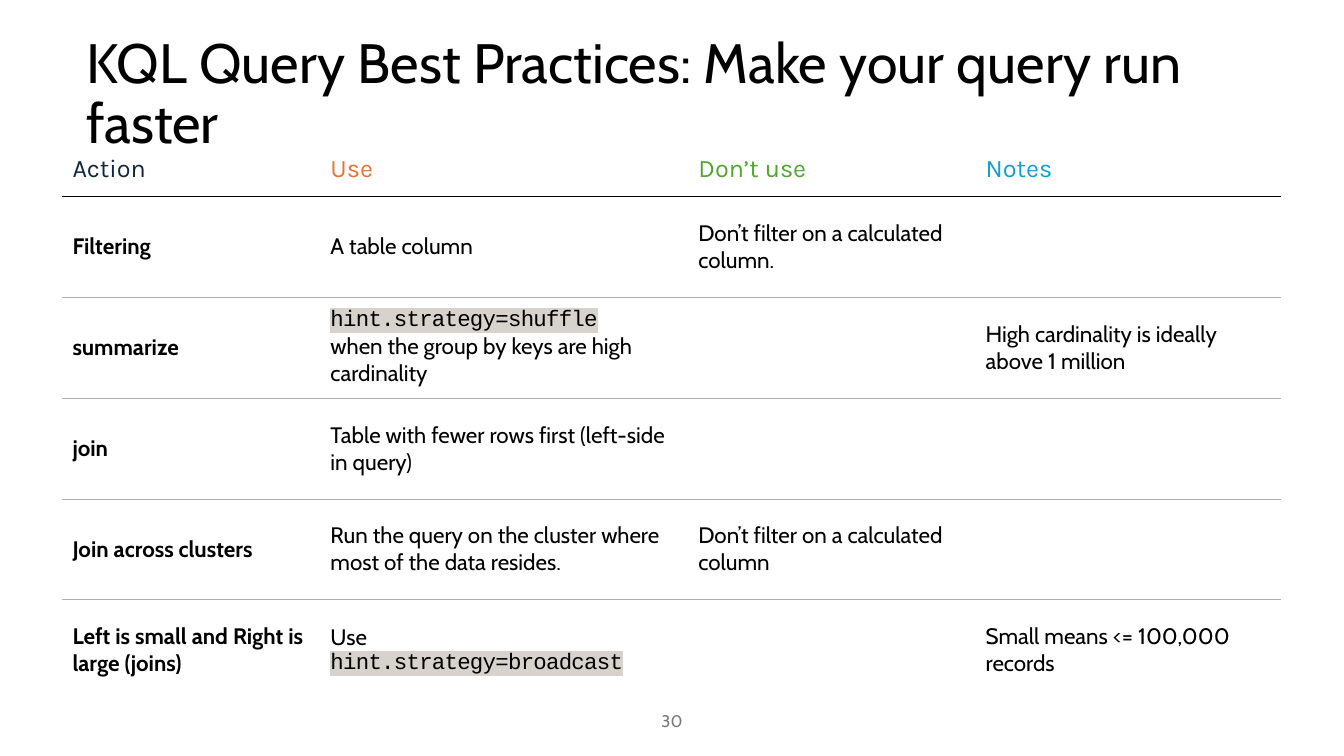
import pptx
import pptx.util
import pptx.dml.color
import pptx.enum.text
import pptx.oxml
import pptx.oxml.ns

Pt = pptx.util.Pt
ANCHOR = pptx.enum.text.MSO_ANCHOR
ALIGN = pptx.enum.text.PP_ALIGN

COLORS = {
    "black": "000000", "white": "FFFFFF", "rule": "AEAEAE", "number": "797979",
    "navy": "0E2841", "orange": "E97132", "green": "4EA72E", "blue": "0F9ED5",
    "code": "D7D2CC",
}
TITLE = "KQL Query Best Practices: Make your query run faster"
PAGE_NUMBER = "30"
HEADERS = [("Action", "navy"), ("Use", "orange"), ("Don’t use", "green"), ("Notes", "blue")]
ROWS = [
    ("Filtering", "A table column", "Don’t filter on a calculated column.", ""),
    ("summarize",
     "`hint.strategy=shuffle`\nwhen the group by keys are high cardinality",
     "", "High cardinality is ideally above 1 million"),
    ("join", "Table with fewer rows first (left-side in query)", "", ""),
    ("Join across clusters", "Run the query on the cluster where most of the data resides.",
     "Don’t filter on a calculated column", ""),
    ("Left is small and Right is large (joins)", "Use\n`hint.strategy=broadcast`",
     "", "Small means <= 100,000 records"),
]
COLUMN_WIDTHS = [184.3, 262.8, 205.2, 217.8]
HEADER_HEIGHT, ROW_HEIGHT = 32.4, 72
TABLE_LEFT, TABLE_TOP = 44.6, 108


def rgb(name):
    return pptx.dml.color.RGBColor.from_string(COLORS[name])


def mark_code(r):
    r.font.name = "Courier New"
    rPr = r.font._element
    rPr.set("spc", "-50")
    highlight = pptx.oxml.parse_xml(
        f'<a:highlight {pptx.oxml.ns.nsdecls("a")}><a:srgbClr val="{COLORS["code"]}"/></a:highlight>')
    rPr.find(pptx.oxml.ns.qn("a:latin")).addprevious(highlight)


def write(tf, text, size=16, font="Cabin", color="black", bold=False, align=ALIGN.LEFT, spacing=1.0):
    """Fill a text frame, setting parts between backticks as highlighted code."""
    tf.word_wrap = True
    p = tf.paragraphs[0]
    p.alignment = align
    p.line_spacing = spacing
    for line_index, line in enumerate(text.split("\n")):
        if line_index:
            p.add_line_break()
        for part_index, part in enumerate(line.split("`")):
            if not part:
                continue
            r = p.add_run()
            r.text = part
            r.font.size = Pt(size)
            r.font.name = font
            r.font.bold = bold
            r.font.color.rgb = rgb(color)
            if part_index % 2:
                mark_code(r)


def add_text(s, box, text, **style):
    tf = s.shapes.add_textbox(*map(Pt, box)).text_frame
    tf.vertical_anchor = ANCHOR.MIDDLE
    write(tf, text, **style)


def set_borders(cell, top, bottom):
    tcPr = cell._tc.get_or_add_tcPr()
    side = ("white", 1)
    edges = [("lnL", side), ("lnR", side), ("lnT", top), ("lnB", bottom)]
    for index, (tag, (color, width)) in enumerate(edges):
        tcPr.insert(index, pptx.oxml.parse_xml(
            f'<a:{tag} {pptx.oxml.ns.nsdecls("a")} w="{Pt(width)}"><a:solidFill>'
            f'<a:srgbClr val="{COLORS[color]}"/></a:solidFill></a:{tag}>'))


def add_practices(s):
    height = HEADER_HEIGHT + ROW_HEIGHT * len(ROWS)
    table = s.shapes.add_table(
        len(ROWS) + 1, len(HEADERS), Pt(TABLE_LEFT), Pt(TABLE_TOP),
        Pt(sum(COLUMN_WIDTHS)), Pt(height)).table
    table.first_row = table.horz_banding = False
    for column, width in zip(table.columns, COLUMN_WIDTHS):
        column.width = Pt(width)
    for index, row in enumerate(table.rows):
        row.height = Pt(ROW_HEIGHT if index else HEADER_HEIGHT)

    rules = [("white", 1), ("black", 1)] + [("rule", 0.5)] * (len(ROWS) - 1) + [("white", 1)]
    for row_index, texts in enumerate([[text for text, _ in HEADERS]] + ROWS):
        for column_index, text in enumerate(texts):
            cell = table.cell(row_index, column_index)
            cell.fill.background()
            set_borders(cell, rules[row_index], rules[row_index + 1])
            if row_index:
                cell.vertical_anchor = ANCHOR.MIDDLE
                write(cell.text_frame, text, bold=column_index == 0)
            else:
                write(cell.text_frame, text, size=18, font="Karla",
                      color=HEADERS[column_index][1], spacing=0.9)


def main():
    prs = pptx.Presentation()
    prs.slide_width, prs.slide_height = Pt(960), Pt(540)
    s = prs.slides.add_slide(prs.slide_layouts[6])
    add_text(s, (54.7, 39.6, 871.2, 56.9), TITLE, size=39.6, spacing=0.9)
    add_practices(s)
    add_text(s, (318, 500.4, 324, 28.8), PAGE_NUMBER, size=12, color="number", align=ALIGN.CENTER)
    prs.save("out.pptx")


if __name__ == "__main__":
    main()
